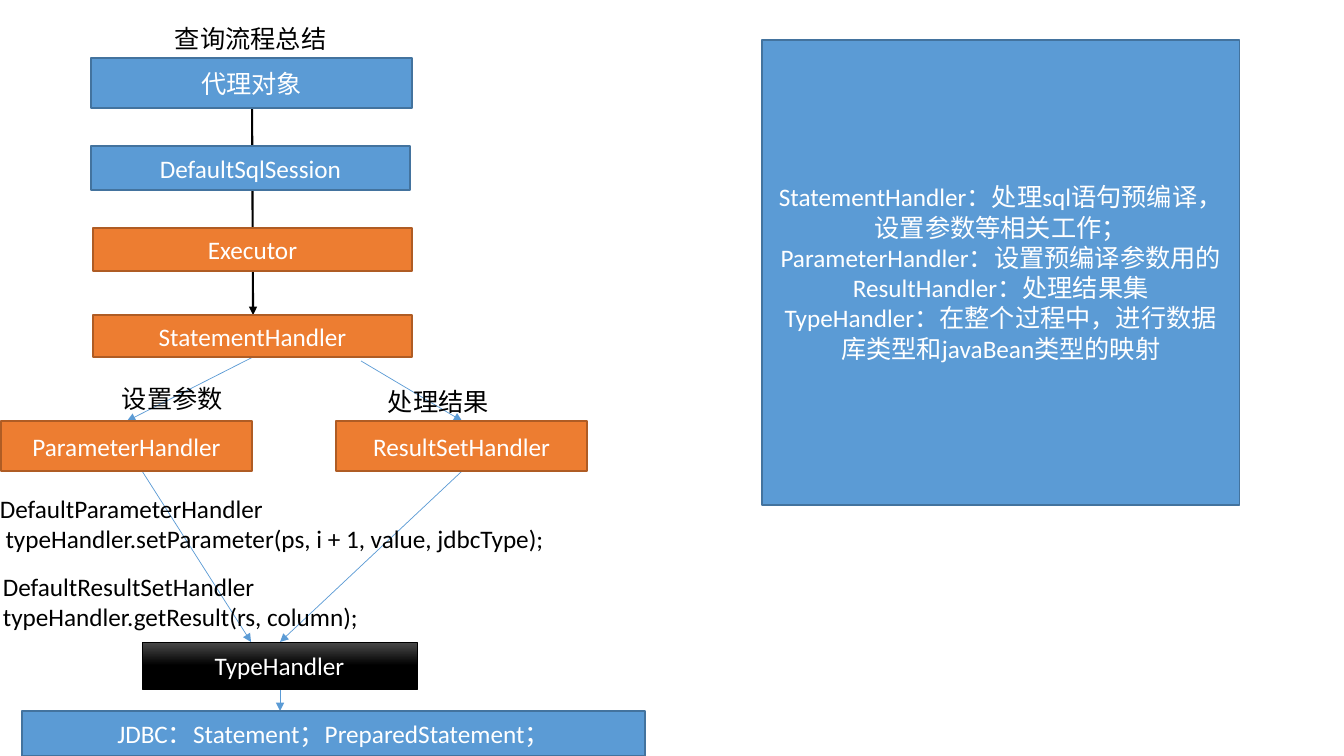
from lxml import etree
from pptx import Presentation
from pptx.dml.color import RGBColor
from pptx.enum.dml import MSO_FILL
from pptx.enum.lang import MSO_LANGUAGE_ID
from pptx.enum.shapes import MSO_CONNECTOR, MSO_SHAPE
from pptx.enum.text import MSO_ANCHOR, MSO_AUTO_SIZE, PP_ALIGN
from pptx.oxml.ns import qn
from pptx.util import Inches, Pt

RECTANGLE, STRAIGHT = MSO_SHAPE.RECTANGLE, MSO_CONNECTOR.STRAIGHT
CENTER, LEFT = PP_ALIGN.CENTER, PP_ALIGN.LEFT
MIDDLE, TOP = MSO_ANCHOR.MIDDLE, MSO_ANCHOR.TOP
GROW, FIXED = MSO_AUTO_SIZE.SHAPE_TO_FIT_TEXT, MSO_AUTO_SIZE.NONE
CHINESE = MSO_LANGUAGE_ID.SIMPLIFIED_CHINESE
GRADIENT = MSO_FILL.GRADIENT

COLORS = {"blue": "5B9BD5", "blue edge": "43739E", "orange": "ED7D31",
          "orange edge": "AF5C24", "black": "000000", "gray": "4B4B4B",
          "white": "FFFFFF"}
# Box kind: fill, edge, edge width in points
STYLES = {"session": ("blue", "blue edge", 1),
          "handler": ("orange", "orange edge", 1),
          "type": (GRADIENT, "black", 0.5)}

# Content: (kind, left, top, width, height, paragraphs), lengths in pixels
BOXES = [
    ("session", 91, 58, 321, 50, ["代理对象"]),
    ("session", 91, 146, 319, 44, ["DefaultSqlSession"]),
    ("handler", 93, 228, 319, 43, ["Executor"]),
    ("handler", 93, 315, 319, 42, ["StatementHandler"]),
    ("handler", 1, 421, 251, 50, ["ParameterHandler"]),
    ("handler", 336, 421, 251, 50, ["ResultSetHandler"]),
    ("type", 142, 642, 275, 47, ["TypeHandler"]),
    ("session", 22, 711, 623, 45, ["JDBC：Statement；PreparedStatement；"]),
    ("session", 762, 40, 477, 465, [
        "StatementHandler：处理sql语句预编译，设置参数等相关工作；",
        "ParameterHandler：设置预编译参数用的",
        "ResultHandler：处理结果集",
        "TypeHandler：在整个过程中，进行数据库类型和javaBean类型的映射"]),
]
LABELS = [
    (165, 18, 333, 40, ["查询流程总结"]),
    (112, 378, 141, 40, ["设置参数"]),
    (378, 381, 150, 40, ["处理结果"]),
    (-10, 488, 656, 72, ["DefaultParameterHandler",
                         " typeHandler.setParameter(ps, i + 1, value, jdbcType);"]),
    (-7, 566, 546, 72, ["DefaultResultSetHandler",
                        "typeHandler.getResult(rs, column);"]),
]
# Arrows: (start x, start y, end x, end y, color, width in points)
ARROWS = [
    (142, 471, 251, 642, "blue", 0.5),
    (462, 471, 280, 642, "blue", 0.5),
    (252, 108, 253, 315, "black", 1.5),
    (253, 357, 127, 421, "blue", 0.5),
    (361, 361, 462, 421, "blue", 0.5),
    (280, 689, 280, 711, "blue", 0.5),
]


def px(*lengths):
    return [Inches(length / 100.8) for length in lengths]


def rgb(name):
    return RGBColor.from_string(COLORS[name])


def write(shape, paragraphs, color, align, anchor, auto_size):
    frame = shape.text_frame
    frame.text = "\n".join(paragraphs)
    frame_format = {"word_wrap": True, "vertical_anchor": anchor, "auto_size": auto_size}
    for key, value in frame_format.items():
        setattr(frame, key, value)
    font_format = {"name": "Calibri", "size": Pt(18), "language_id": CHINESE}
    for paragraph in frame.paragraphs:
        paragraph.alignment = align
        for run in paragraph.runs:
            for key, value in font_format.items():
                setattr(run.font, key, value)
            run.font.color.rgb = rgb(color)


def paint(fill, color):
    if color != GRADIENT:
        fill.solid()
        fill.fore_color.rgb = rgb(color)
        return
    fill.gradient()
    fill.gradient_angle = 270
    for stop, (position, name) in zip(fill.gradient_stops, [(0, "gray"), (0.5, "black")]):
        stop.position = position
        stop.color.rgb = rgb(name)


prs = Presentation()
prs.slide_width, prs.slide_height = Inches(13.33), Inches(7.5)
slide = prs.slides.add_slide(prs.slide_layouts[6])
shapes = slide.shapes

# Arrows run behind the boxes and labels
for *ends, color, width in ARROWS:
    arrow = shapes.add_connector(STRAIGHT, *px(*ends))
    arrow.line.color.rgb = rgb(color)
    arrow.line.width = Pt(width)
    etree.SubElement(arrow.line._get_or_add_ln(), qn("a:tailEnd"), type="triangle")
    etree.SubElement(arrow._element.spPr, qn("a:effectLst"))

# Call chain boxes and the summary panel
for kind, *place, paragraphs in BOXES:
    fill, edge, width = STYLES[kind]
    box = shapes.add_shape(RECTANGLE, *px(*place))
    box.shadow.inherit = False
    paint(box.fill, fill)
    box.line.color.rgb = rgb(edge)
    box.line.width = Pt(width)
    write(box, paragraphs, "white", CENTER, MIDDLE, FIXED)

# Title, arrow labels and code notes
for *place, paragraphs in LABELS:
    label = shapes.add_textbox(*px(*place))
    write(label, paragraphs, "black", LEFT, TOP, GROW)

prs.save("out.pptx")
